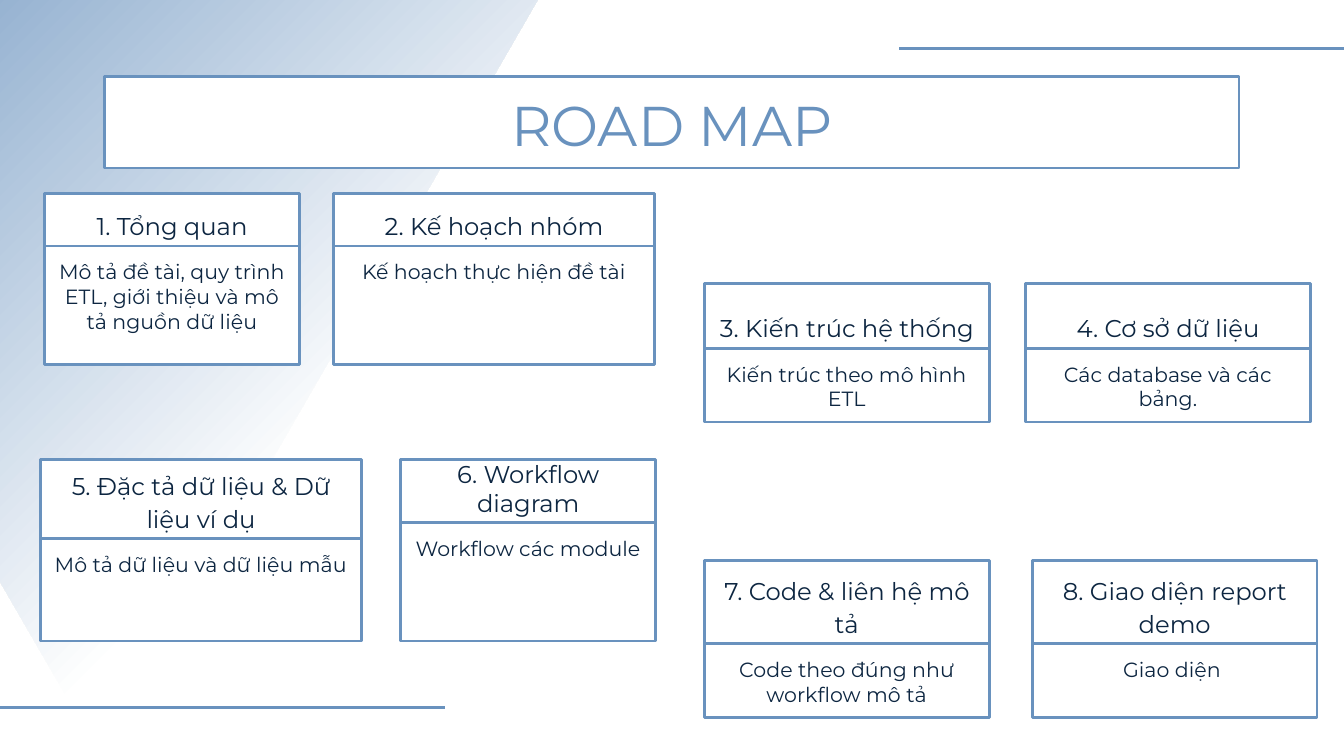
from dataclasses import dataclass
from lxml.etree import SubElement
from pptx import Presentation
from pptx.dml.color import RGBColor as RGB
from pptx.enum.shapes import MSO_CONNECTOR as LINK, MSO_SHAPE as SHAPE
from pptx.enum.text import MSO_ANCHOR as ANCHOR, PP_ALIGN as ALIGN
from pptx.oxml.ns import qn
from pptx.util import Inches, Pt


@dataclass(frozen=True)
class Theme:
    blue: RGB = RGB(0x69, 0x92, 0xBE)
    navy: RGB = RGB(0x0D, 0x26, 0x41)
    white: RGB = RGB(0xFF, 0xFF, 0xFF)
    font: str = "Montserrat"
    title: int = 30
    head: int = 13
    body: int = 11
    rule: float = 1.5
    inset: float = 0.1
    lap: float = 0.06


THEME = Theme()
WIDTH = 10
HEIGHT = WIDTH * 9 / 16

CARDS = [
    ((0.33, 1.44, 1.9, 1.27), 0.88, 1, "1. Tổng quan",
     "Mô tả đề tài, quy trình ETL, giới thiệu và mô tả nguồn dữ liệu"),
    ((2.48, 1.44, 2.39, 1.27), 0.88, 1, "2. Kế hoạch nhóm",
     "Kế hoạch thực hiện đề tài"),
    ((5.24, 2.11, 2.12, 1.03), 0.55, 1, "3. Kiến trúc hệ thống",
     "Kiến trúc theo mô hình ETL"),
    ((7.63, 2.11, 2.12, 1.03), 0.55, 1, "4. Cơ sở dữ liệu",
     "Các database và các bảng."),
    ((0.3, 3.42, 2.39, 1.35), 0.76, 1.15, "5. Đặc tả dữ liệu & Dữ liệu ví dụ",
     "Mô tả dữ liệu và dữ liệu mẫu"),
    ((2.98, 3.42, 1.9, 1.35), 0.88, 1, "6. Workflow diagram",
     "Workflow các module"),
    ((5.24, 4.17, 2.12, 1.17), 0.55, 1.15, "7. Code & liên hệ mô tả",
     "Code theo đúng như workflow mô tả"),
    ((7.68, 4.17, 2.12, 1.17), 0.55, 1.15, "8. Giao diện report demo",
     "Giao diện "),
]


def add_box(slide, box, text, size, color, anchor=ANCHOR.TOP, space=1):
    shape = slide.shapes.add_shape(SHAPE.RECTANGLE, *map(Inches, box))
    shape.shadow.inherit = False
    shape.fill.solid()
    shape.fill.fore_color.rgb = THEME.white
    shape.line.color.rgb = THEME.blue
    shape.line.width = Pt(THEME.rule)
    frame = shape.text_frame
    frame.word_wrap = True
    frame.vertical_anchor = anchor
    frame.margin_left = frame.margin_right = Inches(THEME.inset)
    frame.margin_top = frame.margin_bottom = Inches(THEME.inset)
    para = frame.paragraphs[0]
    para.alignment = ALIGN.CENTER
    para.line_spacing = space
    run = para.add_run()
    run.text = text
    run.font.name = THEME.font
    run.font.size = Pt(size)
    run.font.color.rgb = color


def add_rule(slide, left, top, width):
    ends = map(Inches, (left, top, left + width, top))
    line = slide.shapes.add_connector(LINK.STRAIGHT, *ends)
    line.line.color.rgb = THEME.blue
    line.line.width = Pt(THEME.rule)
    SubElement(line._element.spPr, qn("a:effectLst"))


def add_decor(slide, box):
    left, top, width, height = box
    wedge = slide.shapes.add_shape(
        SHAPE.ISOSCELES_TRIANGLE, Inches(left - 2.5), Inches(top),
        Inches(6.5), Inches(height))
    wedge.rotation = 180
    wedge.shadow.inherit = False
    wedge.line.fill.background()
    wedge.fill.gradient()
    wedge.fill.gradient_angle = 315
    fade, full = wedge.fill.gradient_stops
    fade.position, fade.color.rgb = 0.32, THEME.white
    full.position, full.color.rgb = 1, THEME.blue
    span = 3.31
    add_rule(slide, left + width - span, top + 0.36, span)
    add_rule(slide, left, top + height - 0.36, span)


def add_title(slide, box):
    add_box(slide, box, "ROAD MAP", THEME.title, THEME.blue)


def add_card(slide, box, depth, space, head, body):
    left, top, width, height = box
    split = height - depth
    add_box(slide, (left, top, width, split + THEME.lap), head,
            THEME.head, THEME.navy, ANCHOR.BOTTOM, space)
    add_box(slide, (left, top + split, width, depth), body,
            THEME.body, THEME.navy)


def main():
    deck = Presentation()
    deck.slide_width, deck.slide_height = Inches(WIDTH), Inches(HEIGHT)
    slide = deck.slides.add_slide(deck.slide_layouts[6])
    add_decor(slide, (0, 0, WIDTH, HEIGHT))
    add_title(slide, (0.78, 0.57, 8.44, 0.68))
    for card in CARDS:
        add_card(slide, *card)
    deck.save("out.pptx")


if __name__ == "__main__":
    main()
